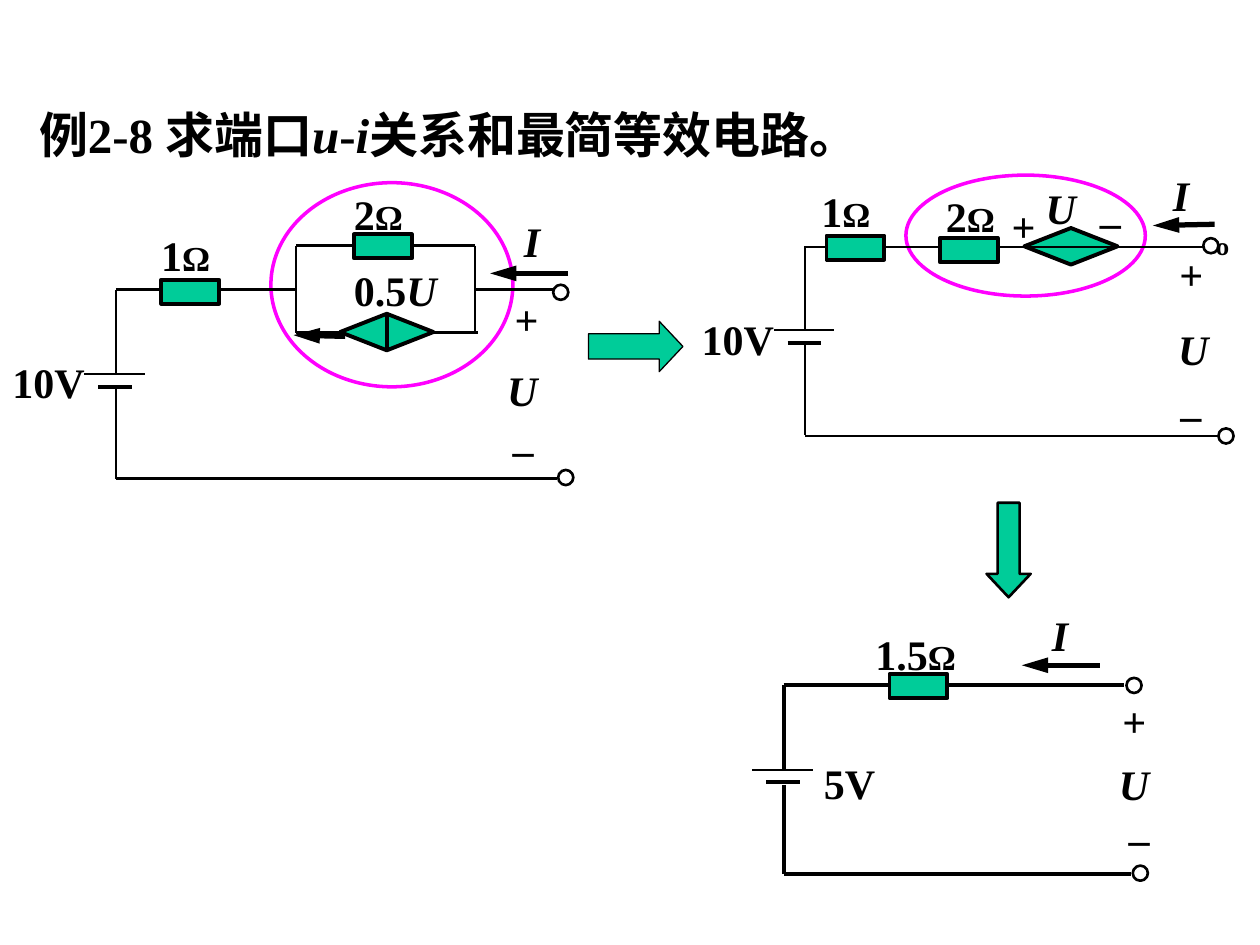
"""Build a slide that reduces a circuit with a dependent source to its simplest equivalent."""
from itertools import groupby

from lxml.etree import SubElement
from pptx import Presentation
from pptx.dml.color import RGBColor
from pptx.enum.shapes import MSO_CONNECTOR as Link, MSO_SHAPE as Kind
from pptx.enum.text import MSO_ANCHOR as Anchor, MSO_AUTO_SIZE as Fit, PP_ALIGN as Align
from pptx.oxml.ns import qn
from pptx.util import Inches, Pt

BLACK = RGBColor(0x00, 0x00, 0x00)
WHITE = RGBColor(0xFF, 0xFF, 0xFF)
GREEN = RGBColor(0x00, 0xCC, 0x99)
PINK = RGBColor(0xFF, 0x00, 0xFF)

FONT = {"name": "Times New Roman", "bold": True}
LEFT = {"align": Align.LEFT, "anchor": Anchor.TOP}
MID = {"align": Align.CENTER, "anchor": Anchor.MIDDLE}

CIRCUITS = [
    {
        "cell": (6.22, 6.11), "wire": 2.25,
        "wires": [(6.22, 5.44, 8.92, 5.44), (6.22, 6.94, 8.98, 6.94)],
        "bars": [], "arrows": [(8.73, 5.28, 8.11, 5.28)], "sources": [],
        "loads": [(7.06, 5.35)], "ends": [(8.94, 5.38), (8.99, 6.87)],
        "left": [("I", 8.25, 4.79, 0.22), ("1.5Ω", 6.85, 4.94, 1.16), ("5V", 6.44, 5.96, 0.83)],
        "mid": [("+", 8.81, 5.47, 0.22), ("_", 8.86, 6.29, 0.27), ("U", 8.7, 5.97, 0.6)],
    },
    {
        "cell": (0.92, 2.97), "wire": 1.5,
        "wires": [(0.92, 2.3, 2.35, 2.3), (0.92, 3.8, 4.42, 3.8), (2.35, 1.95, 3.77, 1.95),
                  (2.35, 1.95, 2.35, 2.64), (3.77, 1.95, 3.77, 2.64), (2.35, 2.64, 2.71, 2.64),
                  (3.43, 2.64, 3.79, 2.64), (3.77, 2.3, 4.42, 2.3)],
        "bars": [(3.07, 2.49, 3.07, 2.78)],
        "arrows": [(2.74, 2.67, 2.33, 2.66), (4.51, 2.17, 3.89, 2.17)],
        "sources": [(2.7, 2.49)],
        "loads": [(1.28, 2.22), (2.81, 1.86)], "ends": [(4.43, 3.73), (4.39, 2.26)],
        "left": [("1Ω", 1.18, 1.77, 1.08), ("2Ω", 2.71, 1.45, 1.08), ("10V", 0, 2.78, 0.83),
                 ("0.5U", 2.71, 2.05, 0.92), ("I", 4.06, 1.66, 0.22)],
        "mid": [("+", 3.95, 2.28, 0.46), ("_", 3.97, 3.2, 0.27), ("U", 3.84, 2.84, 0.61)],
    },
    {
        "cell": (6.39, 2.62), "wire": 1.5,
        "wires": [(6.39, 1.96, 9.6, 1.96), (6.39, 3.46, 9.69, 3.46)],
        "bars": [], "arrows": [(9.64, 1.78, 9.15, 1.79)], "sources": [(8.13, 1.81)],
        "loads": [(6.56, 1.87), (7.46, 1.89)], "ends": [(9.67, 3.4), (9.55, 1.89)],
        "left": [("10V", 5.47, 2.44, 0.92), ("U", 8.2, 1.4, 0.53), ("1Ω", 6.42, 1.42, 1),
                 ("+", 7.93, 1.54, 0.44), ("I", 9.21, 1.3, 0.33), ("2Ω", 7.41, 1.46, 1)],
        "mid": [("+", 9.19, 1.92, 0.53), ("_", 9.27, 2.92, 0.25), ("U", 9.19, 2.52, 0.56),
                ("º", 9.55, 1.77, 0.2), ("_", 8.63, 1.39, 0.25)],
    },
]


def write(box, text, size, align, anchor):
    frame = box.text_frame
    frame.word_wrap = True
    frame.auto_size = Fit.NONE
    frame.vertical_anchor = anchor
    para = frame.paragraphs[0]
    para.alignment = align
    for sign, chars in groupby(text, key=lambda c: c if c in "uiUIΩ" else ""):
        run = para.add_run()
        run.text = "".join(chars)
        style = {**FONT, "size": Pt(20 if sign == "Ω" else size), "italic": sign in tuple("uiUI")}
        for key, val in style.items():
            setattr(run.font, key, val)
        run.font.color.rgb = BLACK


def draw(shapes, kind, place, fill, width, color=BLACK):
    shape = shapes.add_shape(kind, *map(Inches, place))
    shape.shadow.inherit = False
    if fill is None:
        shape.fill.background()
    else:
        shape.fill.solid()
        shape.fill.fore_color.rgb = fill
    shape.line.color.rgb = color
    shape.line.width = Pt(width)
    return shape


deck = Presentation()
deck.slide_width, deck.slide_height = Inches(10), Inches(7.5)
slide = deck.slides.add_slide(deck.slide_layouts[5])

title = slide.shapes.title
frame = {"left": 0.21, "top": 0.78, "width": 6.47, "height": 0.57}
for key, val in frame.items():
    setattr(title, key, Inches(val))
write(title, "例2-8 求端口u-i关系和最简等效电路。", 28, **LEFT)

right = draw(slide.shapes, Kind.RIGHT_ARROW, (4.67, 2.55, 0.75, 0.4), GREEN, 0.75)
right.adjustments[1] = 0.47
down = draw(slide.shapes, Kind.DOWN_ARROW, (7.83, 3.99, 0.35, 0.75), GREEN, 1.5)
down.adjustments[1] = 0.53
for ring in [(2.15, 1.45, 1.92, 1.62), (7.19, 1.39, 1.9, 0.96)]:
    draw(slide.shapes, Kind.OVAL, ring, None, 2, PINK)

for part in CIRCUITS:
    shapes = slide.shapes.add_group_shape().shapes
    for x, y in part["sources"]:
        draw(shapes, Kind.DIAMOND, (x, y, 0.74, 0.29), GREEN, 2.25)

    x, y = part["cell"]
    stems = [(x, y + 0.12, x, y + 0.83), (x, y, x, y - 0.67)]
    plate = (x - 0.25, y, x + 0.23, y)
    short = (x - 0.14, y + 0.1, x + 0.13, y + 0.1)
    lines = [(ends, part["wire"], False) for ends in stems + part["wires"]]
    lines += [(plate, 1.5, False), (short, 2.25, False)]
    lines += [(ends, 2.25, False) for ends in part["bars"]]
    lines += [(ends, 3, True) for ends in part["arrows"]]
    for ends, width, head in lines:
        line = shapes.add_connector(Link.STRAIGHT, *map(Inches, ends))
        line.line.color.rgb = BLACK
        line.line.width = Pt(width)
        if head:
            SubElement(line.line._get_or_add_ln(), qn("a:tailEnd"), type="triangle", w="med", len="lg")
        SubElement(line._element.spPr, qn("a:effectLst"))

    for x, y in part["loads"]:
        draw(shapes, Kind.RECTANGLE, (x, y, 0.46, 0.19), GREEN, 2.25)
    for x, y in part["ends"]:
        draw(shapes, Kind.OVAL, (x, y, 0.12, 0.12), WHITE, 1.5)
    for side, style in [("left", LEFT), ("mid", MID)]:
        for text, x, y, w in part[side]:
            box = shapes.add_textbox(*map(Inches, (x, y, w, 0.5)))
            write(box, text, 24, **style)

deck.save("out.pptx")
